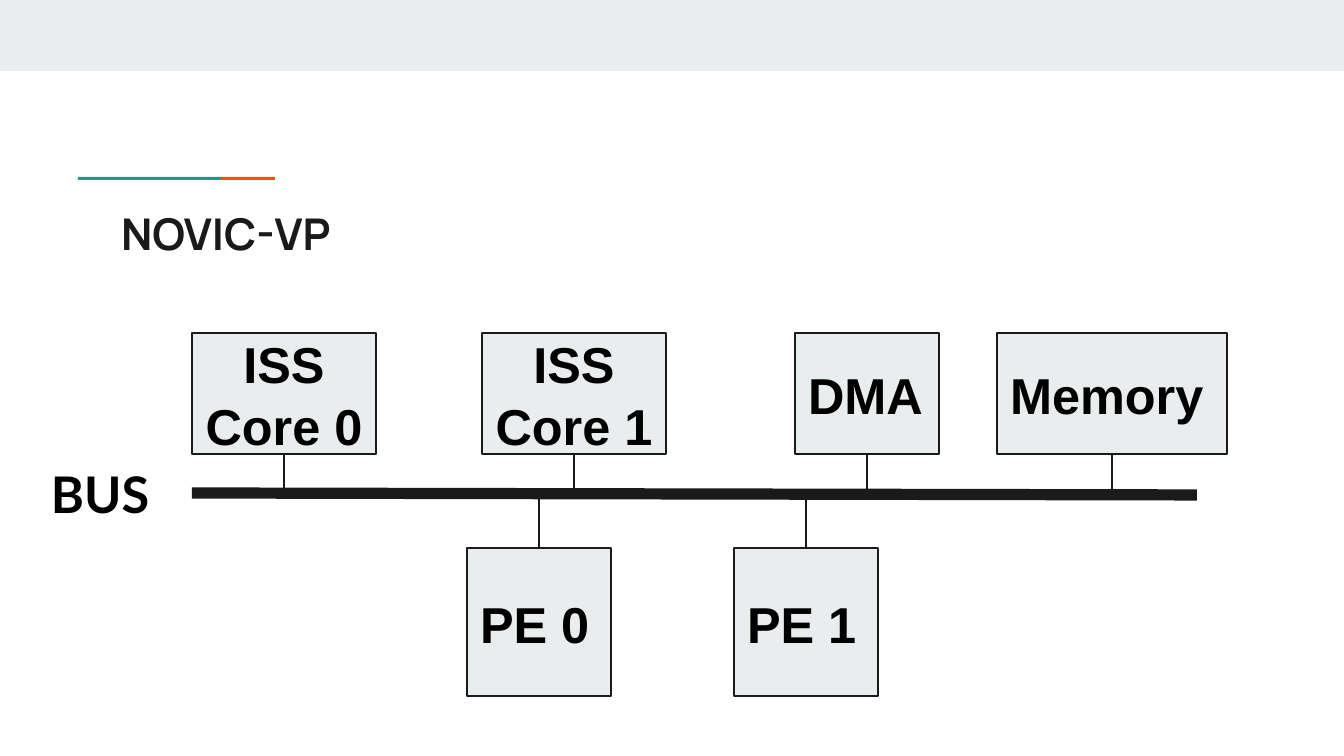
from lxml.etree import SubElement
from pptx import Presentation
from pptx.dml.color import RGBColor
from pptx.enum.shapes import MSO_CONNECTOR as CONNECTOR, MSO_SHAPE as SHAPE
from pptx.enum.text import MSO_ANCHOR as ANCHOR, MSO_AUTO_SIZE as AUTO_SIZE, PP_ALIGN as ALIGN
from pptx.oxml.ns import qn
from pptx.util import Emu, Pt

INK, PALE, TEAL, ORANGE, BLACK = "1A1A1A", "E9EDEE", "1A9988", "EB5600", "000000"
INSET = 13
BUS_Y = 494
CORE_TOP, CORE_HEIGHT = 333, 121
PE_TOP, PE_HEIGHT = 548, 148
TOP_SIDE, BOTTOM_SIDE = 0, 2


def px(n):
    """Turn pixels at 134.4 to the inch into EMU."""
    return Emu(round(n * 914400 / 134.4))


def color(value):
    """Turn a hex string into a colour."""
    return RGBColor.from_string(value)


def write(sp, text, size, font, ink=BLACK, anchor=ANCHOR.TOP, align=ALIGN.LEFT, spacing=1.0):
    """Put bold text into a shape and format it."""
    tf = sp.text_frame
    tf.text = text
    tf.word_wrap = True
    tf.auto_size = AUTO_SIZE.NONE
    tf.vertical_anchor = anchor
    tf.margin_left = tf.margin_right = tf.margin_top = tf.margin_bottom = px(INSET)
    for p in tf.paragraphs:
        p.alignment = align
        p.line_spacing = spacing
        for r in p.runs:
            r.font.size = Pt(size)
            r.font.name = font
            r.font.bold = True
            r.font.color.rgb = color(ink)


def add_rect(slide, x, y, w, h, fill):
    """Add a plain filled rectangle without outline."""
    sp = slide.shapes.add_shape(SHAPE.RECTANGLE, px(x), px(y), px(w), px(h))
    sp.shadow.inherit = False
    sp.fill.solid()
    sp.fill.fore_color.rgb = color(fill)
    sp.line.fill.background()
    return sp


def add_line(slide, x1, y1, x2, y2, width):
    """Add a straight dark line."""
    line = slide.shapes.add_connector(CONNECTOR.STRAIGHT, px(x1), px(y1), px(x2), px(y2))
    line.line.color.rgb = color(INK)
    line.line.width = Pt(width)
    SubElement(line._element.spPr, qn("a:effectLst"))
    return line


def add_module(slide, text, x, y, w, h, side, align=ALIGN.LEFT):
    """Add a labelled hardware block and its link to the bus."""
    sp = add_rect(slide, x, y, w, h, PALE)
    sp.line.color.rgb = color(INK)
    sp.line.width = Pt(0.75)
    write(sp, text, 27, "Arial", anchor=ANCHOR.MIDDLE, align=align, spacing=1.03)
    middle = x + w / 2
    link = add_line(slide, middle, y, middle, BUS_Y, 0.75)
    link.begin_connect(sp, side)


def add_title(slide, text):
    """Place and format the slide title."""
    title = slide.shapes.title
    title.left, title.top, title.width, title.height = px(108), px(194), px(1130), px(79)
    write(title, text, 23.4, "Manrope", INK)


def add_bus(slide):
    """Add the bus line and its label."""
    add_line(slide, 192, BUS_Y - 1, 1197, BUS_Y + 1, 6)
    label = slide.shapes.add_textbox(px(38), px(450), px(136), px(89))
    write(label, "BUS", 27, "Lato")


def main():
    """Build the slide and save it."""
    prs = Presentation()
    prs.slide_width, prs.slide_height = px(1344), px(756)
    slide = prs.slides.add_slide(prs.slide_layouts[5])
    add_rect(slide, 0, 0, 1344, 71, PALE)
    add_rect(slide, 78, 177, 143, 3, TEAL)
    add_rect(slide, 221, 177, 54, 3, ORANGE)
    add_title(slide, "NOVIC-VP")
    add_bus(slide)
    for text, x, w, align in (
        ("ISS\nCore 0", 192, 184, ALIGN.CENTER),
        ("ISS Core 1", 482, 184, ALIGN.CENTER),
        ("DMA", 795, 144, ALIGN.LEFT),
        ("Memory", 997, 230, ALIGN.LEFT),
    ):
        add_module(slide, text, x, CORE_TOP, w, CORE_HEIGHT, BOTTOM_SIDE, align)
    for text, x in (("PE 0", 467), ("PE 1", 734)):
        add_module(slide, text, x, PE_TOP, 144, PE_HEIGHT, TOP_SIDE)
    prs.save("out.pptx")


if __name__ == "__main__":
    main()
